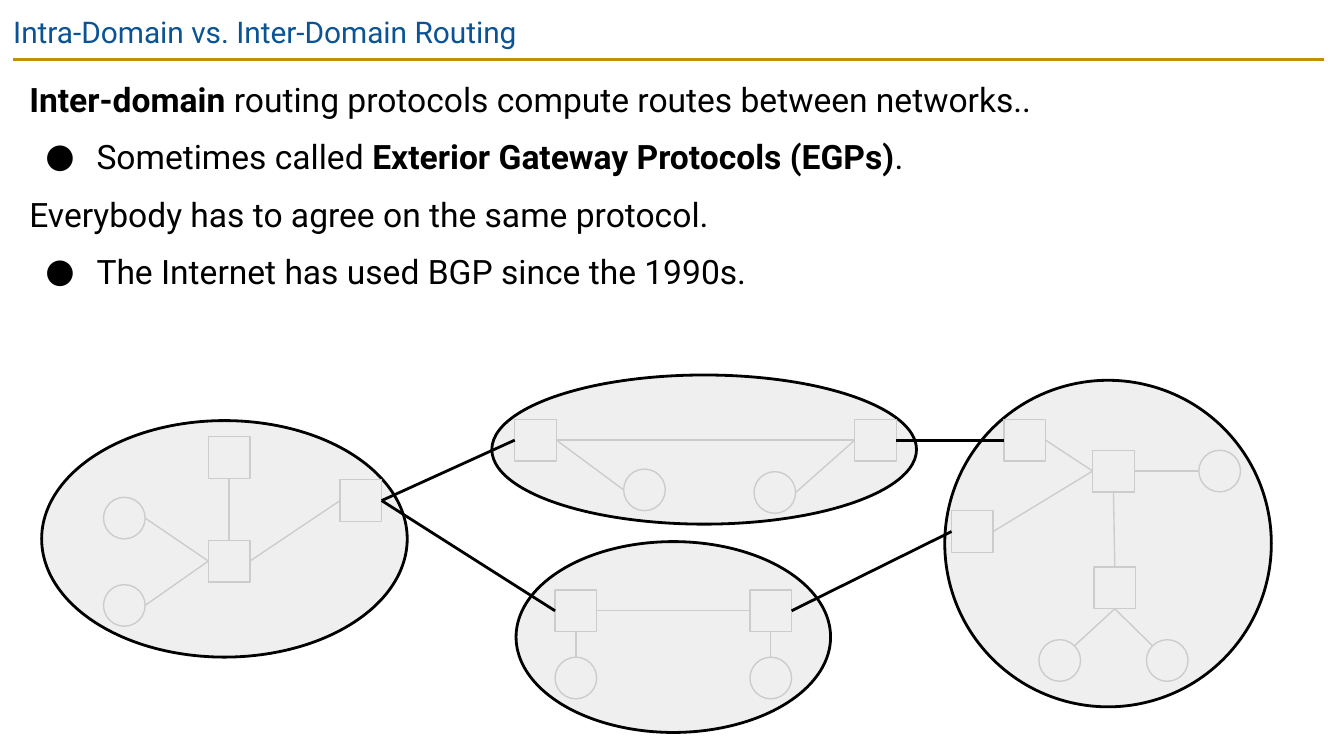
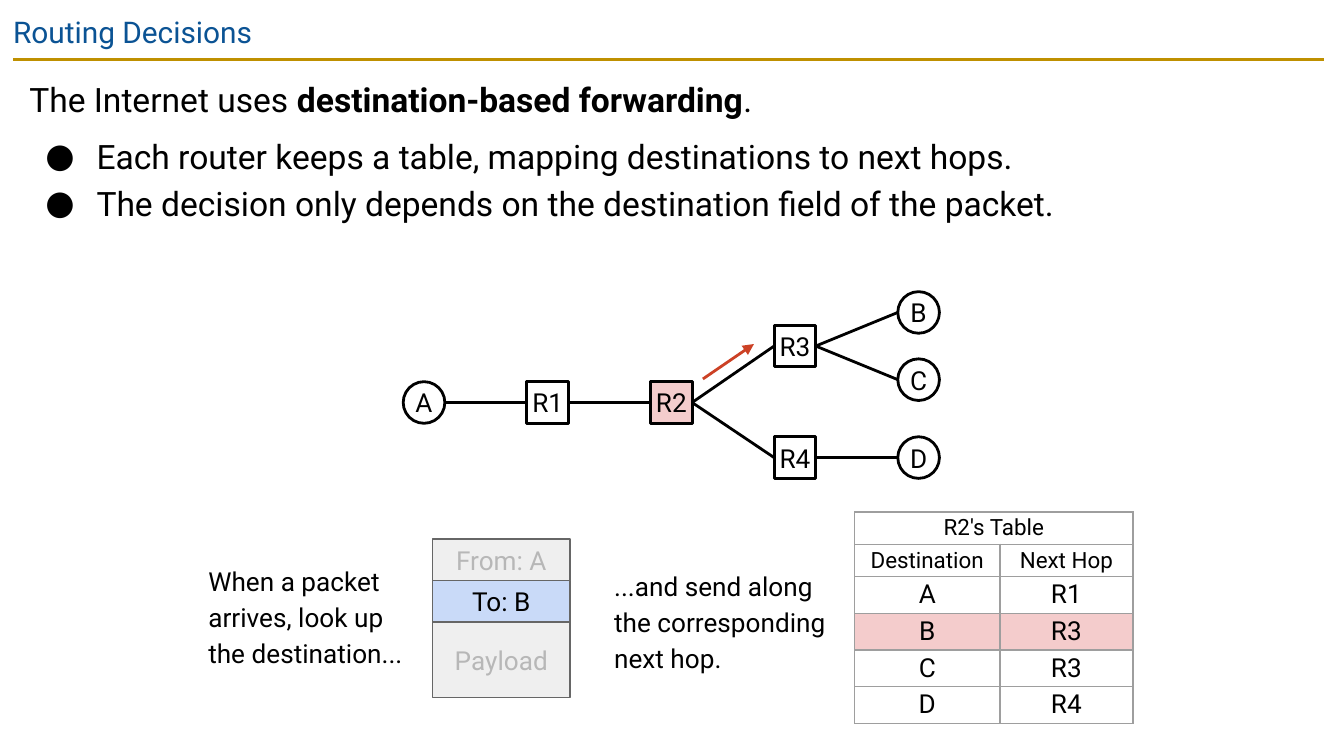
from lxml.etree import SubElement
from pptx import Presentation
from pptx.dml.color import RGBColor
from pptx.enum.shapes import MSO_CONNECTOR as Connector, MSO_SHAPE as Preset
from pptx.enum.text import MSO_ANCHOR as Anchor, PP_ALIGN as Align
from pptx.oxml.ns import qn
from pptx.util import Inches, Pt

FONT = "Roboto"
BLACK = RGBColor(0x00, 0x00, 0x00)
WHITE = RGBColor(0xFF, 0xFF, 0xFF)
TITLE_BLUE = RGBColor(0x0B, 0x53, 0x94)
GOLD = RGBColor(0xBF, 0x90, 0x00)
PALE_GRAY = RGBColor(0xEF, 0xEF, 0xEF)
FAINT_GRAY = RGBColor(0xCC, 0xCC, 0xCC)
MUTED_TEXT = RGBColor(0xB7, 0xB7, 0xB7)
PACKET_EDGE = RGBColor(0x66, 0x66, 0x66)
TABLE_EDGE = RGBColor(0x9E, 0x9E, 0x9E)
PINK = RGBColor(0xF4, 0xCC, 0xCC)
PALE_BLUE = RGBColor(0xC9, 0xDA, 0xF8)
ARROW_RED = RGBColor(0xCC, 0x41, 0x25)

NODE = 0.31
# Points of a node where links attach, as fractions of its size
SIDES = {
    "top": (0.5, 0), "left": (0, 0.5), "bottom": (0.5, 1), "right": (1, 0.5),
    "top left": (0.15, 0.15), "top right": (0.85, 0.15),
}

# Networks: box, nodes as offsets inside the box, and links between node sides
NETWORKS = {
    "north": (
        (3.66, 2.79, 3.16, 1.11),
        {"R west": (0.17, 0.33), "R east": (2.7, 0.33),
         "host west": (0.98, 0.7), "host east": (1.95, 0.72)},
        [("R east", "left", "R west", "right"),
         ("R west", "right", "host west", "left"),
         ("R east", "left", "host east", "right")]),
    "south": (
        (3.84, 4.03, 2.34, 1.42),
        {"R west": (0.29, 0.36), "R east": (1.74, 0.36),
         "host west": (0.29, 0.86), "host east": (1.74, 0.86)},
        [("R west", "right", "R east", "left"),
         ("host west", "top", "R west", "bottom"),
         ("host east", "top", "R east", "bottom")]),
    "east": (
        (7.03, 2.83, 2.43, 2.43),
        {"R north": (0.44, 0.29), "R west": (0.05, 0.97),
         "R core": (1.1, 0.52), "R hub": (1.11, 1.39),
         "host left": (0.7, 1.93), "host right": (1.5, 1.93),
         "host east": (1.89, 0.52)},
        [("R core", "left", "R north", "right"),
         ("R core", "left", "R west", "right"),
         ("R core", "bottom", "R hub", "top"),
         ("R core", "right", "host east", "left"),
         ("host left", "top right", "R hub", "bottom"),
         ("host right", "top left", "R hub", "bottom")]),
    "west": (
        (0.31, 3.13, 2.72, 1.76),
        {"R hub": (1.24, 0.89), "R top": (1.24, 0.12), "R east": (2.22, 0.44),
         "host upper": (0.46, 0.57), "host lower": (0.46, 1.22)},
        [("R hub", "left", "host upper", "right"),
         ("R hub", "left", "host lower", "right"),
         ("R hub", "right", "R east", "left"),
         ("R top", "bottom", "R hub", "top")]),
}
# Links between networks: network, router, side at each end
BORDER_LINKS = [
    (("west", "R east", "right"), ("south", "R west", "left")),
    (("west", "R east", "right"), ("north", "R west", "left")),
    (("north", "R east", "right"), ("east", "R north", "left")),
    (("south", "R east", "right"), ("east", "R west", "left")),
]

# Forwarding topology: column number and height of each node
COLUMN_STEP = 0.92
TOPOLOGY = {
    "A": (0, 0.67), "R1": (1, 0.67), "R2": (2, 0.67), "R3": (3, 0.25),
    "R4": (3, 1.08), "B": (4, 0), "C": (4, 0.5), "D": (4, 1.08),
}
HOPS = [("A", "R1"), ("R1", "R2"), ("R2", "R3"), ("R2", "R4"),
        ("R3", "B"), ("R3", "C"), ("R4", "D")]


# Basic parts
def add_run(paragraph, text, size, color=BLACK, bold=False):
    run = paragraph.add_run()
    run.text = text
    run.font.name = FONT
    run.font.size = Pt(size)
    run.font.color.rgb = color
    run.font.bold = bold


def set_insets(target, horizontal, vertical):
    target.margin_left = target.margin_right = Inches(horizontal)
    target.margin_top = target.margin_bottom = Inches(vertical)


def add_text_frame(slide, box, inset=0.0):
    frame = slide.shapes.add_textbox(*map(Inches, box)).text_frame
    frame.word_wrap = True
    set_insets(frame, inset, inset)
    return frame


def add_shape(slide, preset, box, fill, edge, width, text="", color=BLACK):
    shape = slide.shapes.add_shape(preset, *map(Inches, box))
    shape.shadow.inherit = False
    if fill is None:
        shape.fill.background()
    else:
        shape.fill.solid()
        shape.fill.fore_color.rgb = fill
    shape.line.color.rgb = edge
    shape.line.width = Pt(width)
    if text:
        frame = shape.text_frame
        set_insets(frame, 0, 0)
        frame.vertical_anchor = Anchor.MIDDLE
        frame.paragraphs[0].alignment = Align.CENTER
        add_run(frame.paragraphs[0], text, 14, color)


def add_line(slide, start, end, color=BLACK, width=1.5, arrow=False):
    line = slide.shapes.add_connector(
        Connector.STRAIGHT, *map(Inches, (*start, *end)))
    line.line.color.rgb = color
    line.line.width = Pt(width)
    if arrow:
        SubElement(line.line._get_or_add_ln(), qn("a:tailEnd"), type="triangle")
    SubElement(line._element.spPr, qn("a:effectLst"))


def add_node(slide, name, position, fill, edge, width, text=""):
    preset = Preset.RECTANGLE if name.startswith("R") else Preset.OVAL
    add_shape(slide, preset, (*position, NODE, NODE), fill, edge, width, text)


def side_point(position, side):
    return tuple(start + NODE * part for start, part in zip(position, SIDES[side]))


# Title, rule and body text shared by all slides
def start_slide(presentation, title):
    slide = presentation.slides.add_slide(presentation.slide_layouts[6])
    add_line(slide, (0.1, 0.44), (9.85, 0.44), GOLD)
    frame = add_text_frame(slide, (0, 0, 10, 0.43), 0.1)
    add_run(frame.paragraphs[0], title, 16, TITLE_BLUE)
    return slide


def add_bullet(paragraph):
    properties = paragraph._p.get_or_add_pPr()
    properties.set("marL", str(Inches(0.5)))
    properties.set("indent", str(Inches(-0.38)))
    bullet_color = SubElement(properties, qn("a:buClr"))
    SubElement(bullet_color, qn("a:srgbClr"), val=str(BLACK))
    SubElement(properties, qn("a:buSzPts"), val="1800")
    SubElement(properties, qn("a:buFont"), typeface=FONT)
    SubElement(properties, qn("a:buChar"), char="●")


def add_body(slide, box, items):
    """Each item: bulleted or not, space before, then (text, bold) pieces."""
    frame = add_text_frame(slide, box, 0.1)
    for number, (bulleted, space, pieces) in enumerate(items):
        paragraph = frame.add_paragraph() if number else frame.paragraphs[0]
        paragraph.line_spacing = 1.15
        paragraph.space_before = Pt(space)
        if bulleted:
            add_bullet(paragraph)
        for text, bold in pieces:
            add_run(paragraph, text, 18, bold=bold)


# Slide 1 regions
def add_network(slide, box, nodes, links):
    add_shape(slide, Preset.OVAL, box, PALE_GRAY, BLACK, 1.5)
    placed = {name: (box[0] + x, box[1] + y) for name, (x, y) in nodes.items()}
    for name, position in placed.items():
        add_node(slide, name, position, None, FAINT_GRAY, 0.75)
    for first, first_side, second, second_side in links:
        add_line(slide, side_point(placed[first], first_side),
                 side_point(placed[second], second_side), FAINT_GRAY, 0.75)
    return placed


def build_domains_slide(presentation):
    slide = start_slide(presentation, "Intra-Domain vs. Inter-Domain Routing")
    add_body(slide, (0.12, 0.44, 9.74, 2.22), [
        (False, 6, [("Inter-domain", True),
                    (" routing protocols compute routes between networks..", False)]),
        (True, 6, [("Sometimes called ", False),
                   ("Exterior Gateway Protocols (EGPs)", True), (".", False)]),
        (False, 6, [("Everybody has to agree on the same protocol.", False)]),
        (True, 6, [("The Internet has used BGP since the 1990s.", False)]),
    ])
    placed = {name: add_network(slide, *network)
              for name, network in NETWORKS.items()}
    for ends in BORDER_LINKS:
        add_line(slide, *(side_point(placed[network][router], side)
                          for network, router, side in ends))


# Slide 2 regions
def add_topology(slide, left, top):
    placed = {name: (left + column * COLUMN_STEP, top + y)
              for name, (column, y) in TOPOLOGY.items()}
    for name, position in placed.items():
        fill = PINK if name == "R2" else WHITE
        add_node(slide, name, position, fill, BLACK, 1.5, name)
    for first, second in HOPS:
        add_line(slide, side_point(placed[first], "right"),
                 side_point(placed[second], "left"))
    add_line(slide, (left + 2.23, top + 0.65), (left + 2.61, top + 0.39),
             ARROW_RED, arrow=True)


def add_packet(slide, left, top, width):
    for text, height, fill, color in (("From: A", 0.31, PALE_GRAY, MUTED_TEXT),
                                      ("To: B", 0.31, PALE_BLUE, BLACK),
                                      ("Payload", 0.56, PALE_GRAY, MUTED_TEXT)):
        add_shape(slide, Preset.RECTANGLE, (left, top, width, height),
                  fill, PACKET_EDGE, 0.75, text, color)
        top += height


def add_caption(slide, box, text):
    paragraph = add_text_frame(slide, box).paragraphs[0]
    paragraph.line_spacing = 1.15
    paragraph.space_before = Pt(6)
    add_run(paragraph, text, 14)


def style_cell(cell, text, size, fill):
    properties = cell._tc.get_or_add_tcPr()
    for edge in ("a:lnL", "a:lnR", "a:lnT", "a:lnB"):
        border = SubElement(properties, qn(edge), w=str(Pt(0.75)))
        solid = SubElement(border, qn("a:solidFill"))
        SubElement(solid, qn("a:srgbClr"), val=str(TABLE_EDGE))
    if fill is None:
        cell.fill.background()
    else:
        cell.fill.solid()
        cell.fill.fore_color.rgb = fill
    set_insets(cell, 0, 0.02)
    cell.vertical_anchor = Anchor.MIDDLE
    if text:
        paragraph = cell.text_frame.paragraphs[0]
        paragraph.alignment = Align.CENTER
        add_run(paragraph, text, size)


def add_forwarding_table(slide, left, top):
    rows = [("R2's Table", ""), ("Destination", "Next Hop"),
            ("A", "R1"), ("B", "R3"), ("C", "R3"), ("D", "R4")]
    widths = (1.08, 0.99)
    row_height = 0.13  # rows grow to fit their text
    table = slide.shapes.add_table(len(rows), 2, *map(
        Inches, (left, top, sum(widths), row_height * len(rows)))).table
    table.first_row = table.horz_banding = False
    for column, width in zip(table.columns, widths):
        column.width = Inches(width)
    for number, row in enumerate(rows):
        table.rows[number].height = Inches(row_height)
        for column, text in enumerate(row):
            style_cell(table.cell(number, column), text, 12 if number < 2 else 14,
                       PINK if row[0] == "B" else None)
    table.cell(0, 0).merge(table.cell(0, 1))


def build_decisions_slide(presentation):
    slide = start_slide(presentation, "Routing Decisions")
    add_body(slide, (0.12, 0.44, 9.74, 1.37), [
        (False, 6, [("The Internet uses ", False),
                    ("destination-based forwarding", True), (".", False)]),
        (True, 6, [("Each router keeps a table, mapping destinations to next hops.",
                    False)]),
        (True, 0, [("The decision only depends on the destination field of the packet.",
                    False)]),
    ])
    add_forwarding_table(slide, 6.36, 3.81)
    add_caption(slide, (1.55, 4.17, 1.48, 0.78),
                "When a packet arrives, look up the destination...")
    add_caption(slide, (4.57, 4.21, 1.6, 0.78),
                "...and send along the corresponding next hop.")
    add_packet(slide, 3.22, 4.01, 1.02)
    add_topology(slide, 3, 2.17)


def main():
    presentation = Presentation()
    presentation.slide_width = Inches(10)
    presentation.slide_height = Inches(10) * 9 // 16
    build_domains_slide(presentation)
    build_decisions_slide(presentation)
    presentation.save("out.pptx")


if __name__ == "__main__":
    main()
